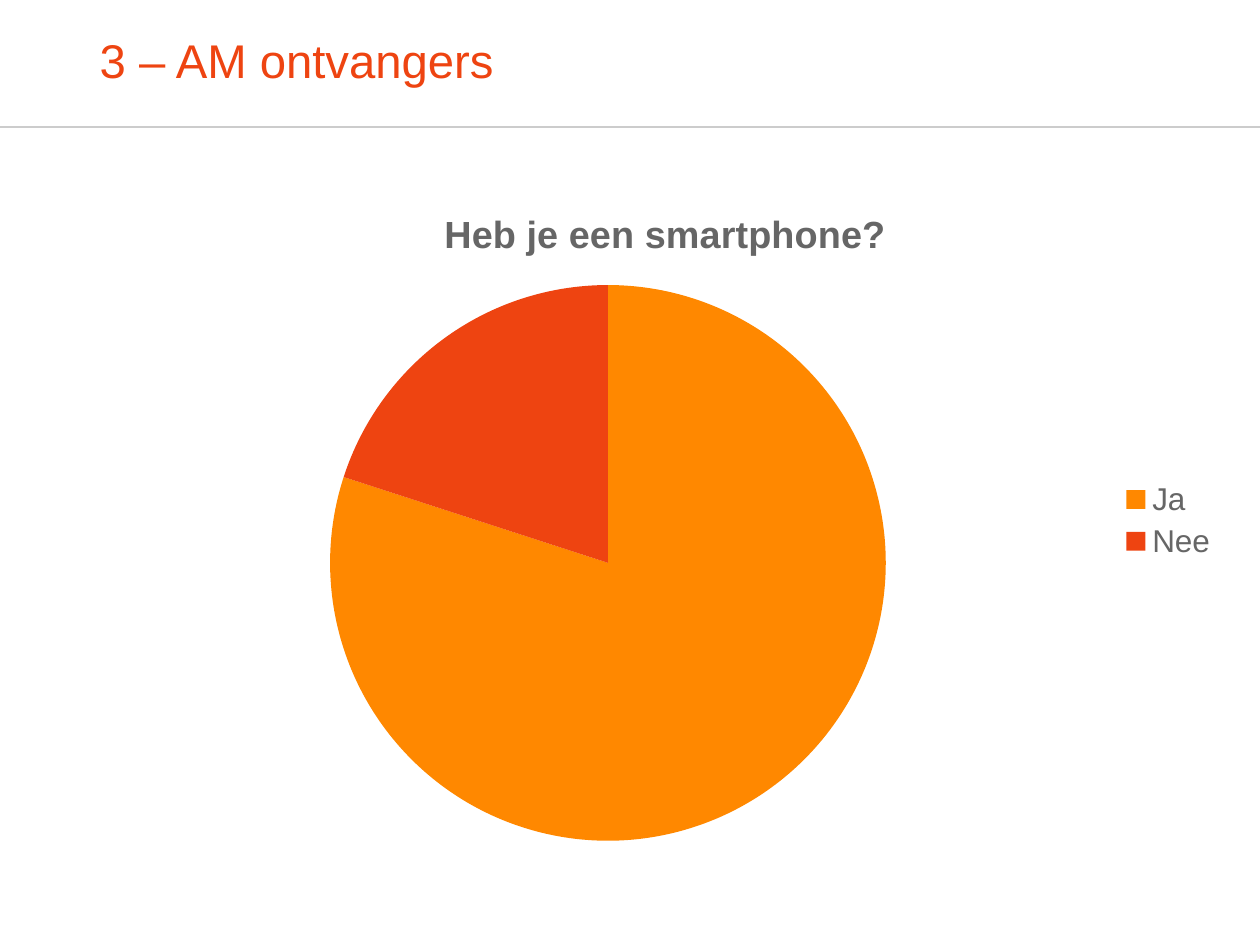
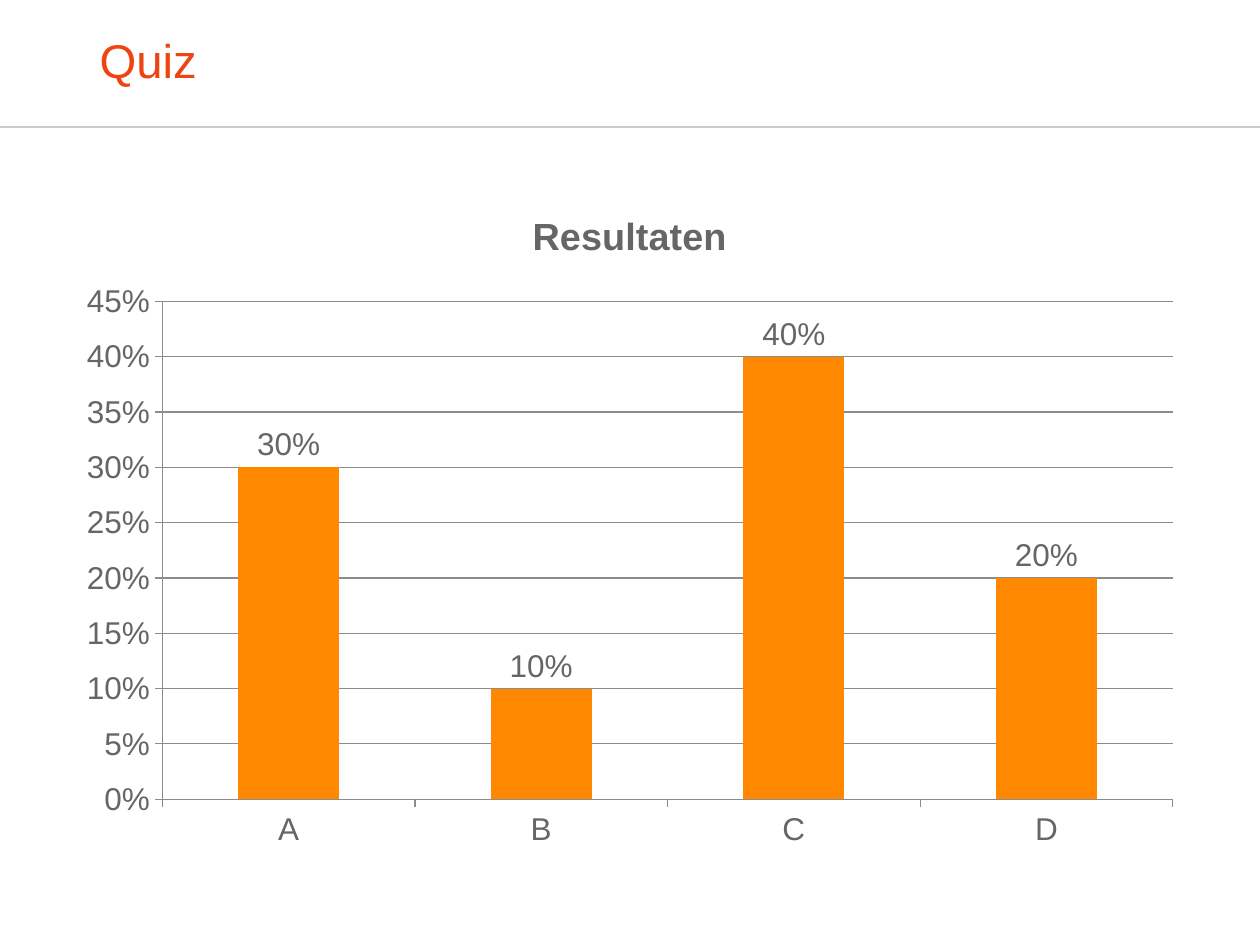
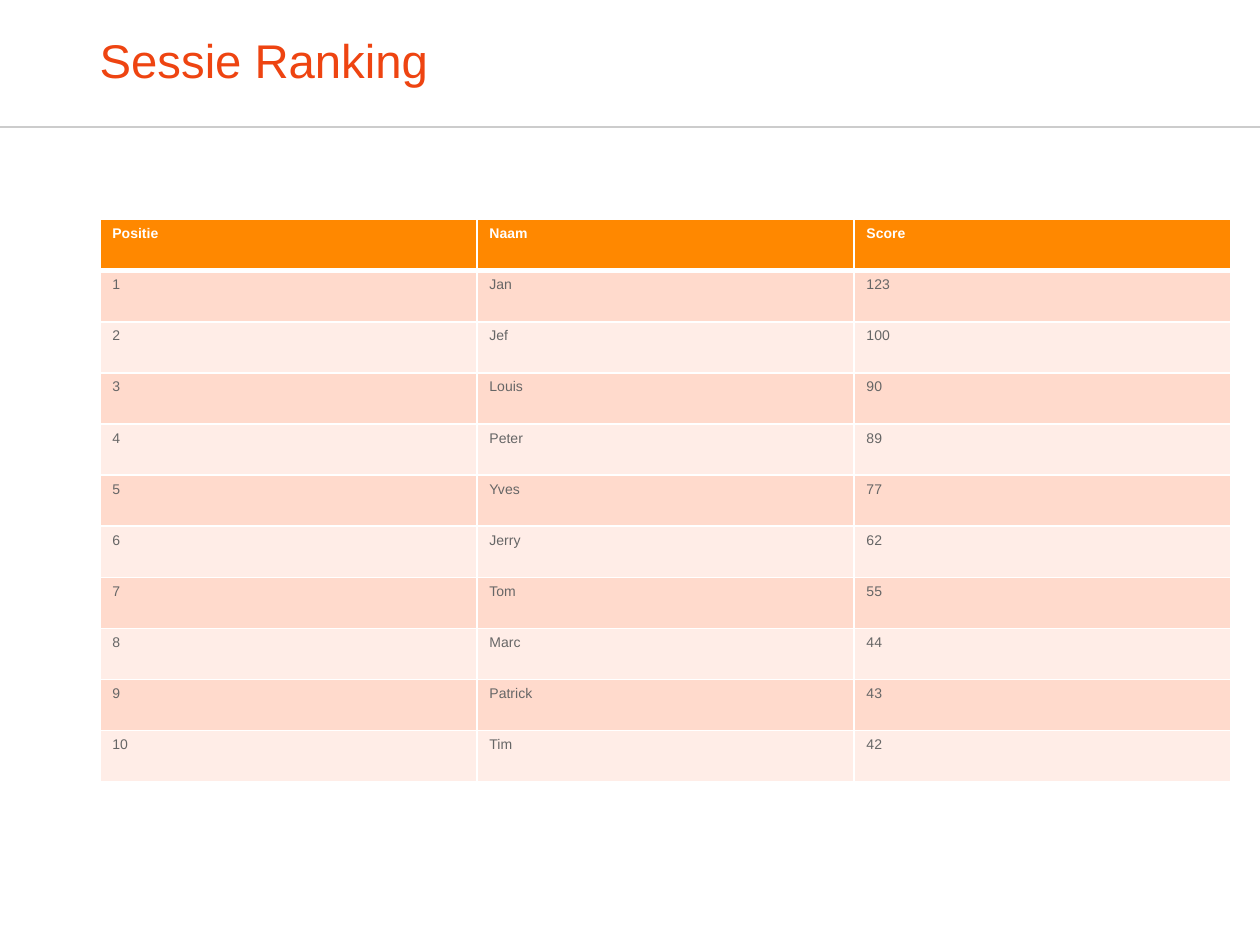
import pptx
import pptx.chart.data
import pptx.dml.color
import pptx.enum.chart
import pptx.enum.shapes
import pptx.enum.text
import pptx.oxml
import pptx.oxml.ns
import pptx.util
from lxml import etree

Pt = pptx.util.Pt
RGBColor = pptx.dml.color.RGBColor
chart_enums = pptx.enum.chart
qn = pptx.oxml.ns.qn

ORANGE = RGBColor(0xFF, 0x88, 0x00)
RED = RGBColor(0xEE, 0x44, 0x11)
GREY = RGBColor(0x66, 0x66, 0x66)
AXIS_GREY = RGBColor(0x8C, 0x8C, 0x8C)
RULE_GREY = RGBColor(0xCC, 0xCC, 0xCC)
WHITE = RGBColor(0xFF, 0xFF, 0xFF)
BAND_DARK = RGBColor(0xFF, 0xDA, 0xCC)
BAND_LIGHT = RGBColor(0xFF, 0xED, 0xE7)

FONT = "Arial"
SLIDE_WIDTH, SLIDE_HEIGHT = 720, 540
LEFT = 57
HEADER_HEIGHT = 72.6
CONTENT_WIDTH = 646.4
CHART_HEIGHT = 386

presentation = pptx.Presentation()
presentation.slide_width = Pt(SLIDE_WIDTH)
presentation.slide_height = Pt(SLIDE_HEIGHT)


def add_titled_slide(title):
    """Add a slide with the grey header rule and the red title."""
    slide = presentation.slides.add_slide(presentation.slide_layouts[6])
    rule = slide.shapes.add_connector(
        pptx.enum.shapes.MSO_CONNECTOR.STRAIGHT,
        Pt(0), Pt(HEADER_HEIGHT), Pt(SLIDE_WIDTH), Pt(HEADER_HEIGHT))
    rule.line.color.rgb = RULE_GREY
    rule.line.width = Pt(1)
    etree.SubElement(rule._element.spPr, qn("a:effectLst"))

    title_box = slide.shapes.add_textbox(Pt(LEFT), Pt(0), Pt(606), Pt(HEADER_HEIGHT))
    text_frame = title_box.text_frame
    text_frame.word_wrap = True
    text_frame.vertical_anchor = pptx.enum.text.MSO_ANCHOR.MIDDLE
    text_frame.margin_left = text_frame.margin_right = Pt(0)
    text_frame.margin_top = text_frame.margin_bottom = Pt(0)
    text_frame.text = title
    paragraph = text_frame.paragraphs[0]
    paragraph.line_spacing = 0.9
    font = paragraph.runs[0].font
    font.name = FONT
    font.size = Pt(27)
    font.color.rgb = RED
    return slide


def add_titled_chart(slide, chart_type, left, top, chart_data, title):
    """Add a chart with the shared fonts and a bold title."""
    chart = slide.shapes.add_chart(
        chart_type, Pt(left), Pt(top), Pt(CONTENT_WIDTH), Pt(CHART_HEIGHT),
        chart_data).chart
    chart.font.name = FONT
    chart.font.size = Pt(18)
    chart.font.color.rgb = GREY
    chart.has_title = True
    chart.chart_title.include_in_layout = False
    chart.chart_title.text_frame.text = title
    font = chart.chart_title.text_frame.paragraphs[0].runs[0].font
    font.name = FONT
    font.size = Pt(21.6)
    font.bold = True
    font.color.rgb = GREY
    return chart


# Slide 1: pie chart
slide = add_titled_slide("3 – AM ontvangers")
pie_data = pptx.chart.data.CategoryChartData()
pie_data.categories = ["Ja", "Nee"]
pie_data.add_series("Series 1", (80, 20))
pie_chart = add_titled_chart(slide, chart_enums.XL_CHART_TYPE.PIE, LEFT, 104.4,
                             pie_data, "Heb je een smartphone?")
pie_chart.has_legend = True
pie_chart.legend.position = chart_enums.XL_LEGEND_POSITION.RIGHT
pie_chart.legend.include_in_layout = False
pie_chart.plots[0].vary_by_categories = True
for index, color in enumerate((ORANGE, RED)):
    fill = pie_chart.plots[0].series[0].points[index].format.fill
    fill.solid()
    fill.fore_color.rgb = color

# Slide 2: column chart
slide = add_titled_slide("Quiz")
quiz_data = pptx.chart.data.CategoryChartData(number_format="0%")
quiz_data.categories = ["A", "B", "C", "D"]
quiz_data.add_series("Resultaten", (0.3, 0.1, 0.4, 0.2))
quiz_chart = add_titled_chart(slide, chart_enums.XL_CHART_TYPE.COLUMN_CLUSTERED,
                              36.7, 105.8, quiz_data, "Resultaten")
quiz_chart.has_legend = False
plot = quiz_chart.plots[0]
plot.gap_width = 150
plot.vary_by_categories = False
fill = plot.series[0].format.fill
fill.solid()
fill.fore_color.rgb = ORANGE
plot.has_data_labels = True
labels = plot.data_labels
labels.show_value = True
labels.number_format = "0%"
labels.number_format_is_linked = False
labels.position = chart_enums.XL_LABEL_POSITION.OUTSIDE_END

value_axis = quiz_chart.value_axis
value_axis.has_major_gridlines = True
value_axis.tick_labels.number_format = "0%"
value_axis.tick_labels.number_format_is_linked = False
for axis in (quiz_chart.category_axis, value_axis):
    axis.major_tick_mark = chart_enums.XL_TICK_MARK.OUTSIDE
    axis.minor_tick_mark = chart_enums.XL_TICK_MARK.NONE
for line_format in (quiz_chart.category_axis.format, value_axis.format,
                    value_axis.major_gridlines.format):
    line_format.line.color.rgb = AXIS_GREY
    line_format.line.width = Pt(0.75)

# Slide 3: ranking table
slide = add_titled_slide("Sessie Ranking")
scores = [("Jan", 123), ("Jef", 100), ("Louis", 90), ("Peter", 89), ("Yves", 77),
          ("Jerry", 62), ("Tom", 55), ("Marc", 44), ("Patrick", 43), ("Tim", 42)]
rows = [("Positie", "Naam", "Score")]
rows += [(position, name, score) for position, (name, score) in enumerate(scores, 1)]
table = slide.shapes.add_table(len(rows), 3, Pt(LEFT), Pt(125.5),
                               Pt(CONTENT_WIDTH), Pt(29.2 * len(rows))).table
table.horz_banding = False

for row_index, row in enumerate(rows):
    is_header = row_index == 0
    if is_header:
        row_color = ORANGE
    else:
        row_color = BAND_DARK if row_index % 2 else BAND_LIGHT
    border_widths = {"a:lnL": 1, "a:lnR": 1,
                     "a:lnT": 3 if row_index == 1 else 1,
                     "a:lnB": 3 if is_header else 1}
    for column_index, value in enumerate(row):
        cell = table.cell(row_index, column_index)
        cell.text_frame.text = str(value)
        font = cell.text_frame.paragraphs[0].runs[0].font
        font.name = FONT
        font.size = Pt(8)
        font.bold = is_header
        font.color.rgb = WHITE if is_header else GREY
        # Borders must precede the fill in the cell properties
        properties = cell._tc.get_or_add_tcPr()
        for tag, width in border_widths.items():
            border = etree.SubElement(properties, qn(tag), w=str(Pt(width)))
            border_fill = etree.SubElement(border, qn("a:solidFill"))
            etree.SubElement(border_fill, qn("a:srgbClr"), val=str(WHITE))
        cell.fill.solid()
        cell.fill.fore_color.rgb = row_color

presentation.save("out.pptx")
